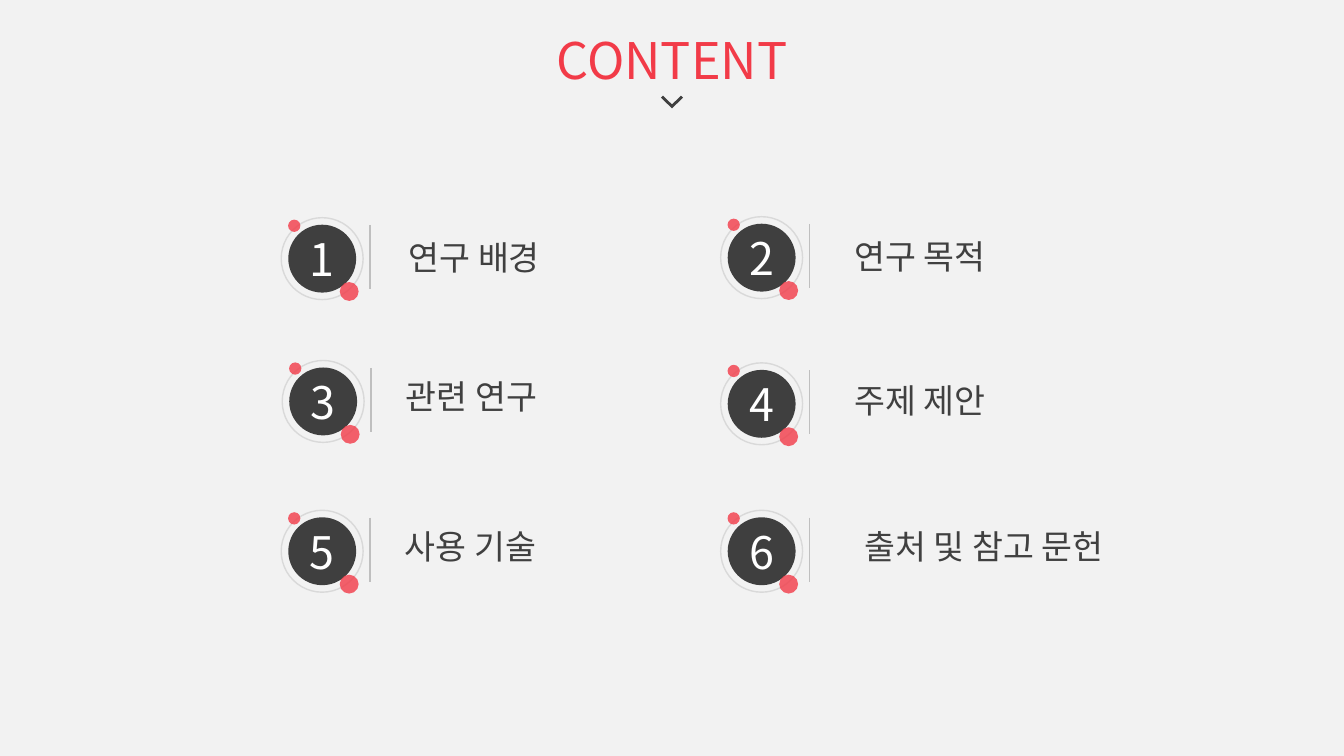
from lxml import etree
from pptx import Presentation
from pptx.dml.color import RGBColor
from pptx.enum.shapes import MSO_CONNECTOR as Connector, MSO_SHAPE as Shape
from pptx.enum.text import MSO_ANCHOR as Anchor, MSO_AUTO_SIZE as AutoSize, PP_ALIGN as Align
from pptx.oxml.ns import qn
from pptx.util import Pt

LATIN_FONT = "Noto Sans CJK SC"
KOREAN_FONT = "Noto Sans CJK KR"
RED = "F23B48"
DARK = "3F3F3F"

# Number, badge left and top, label, label left, top and width
ITEMS = [
    ("1", 200.9, 155.5, "연구 배경", 249.8, 165.6, 178),
    ("2", 514.8, 154.8, "연구 목적", 568.1, 164.9, 178),
    ("3", 201.6, 257.5, "관련 연구", 247.7, 265, 178),
    ("4", 514.8, 259.2, "주제 제안", 568.1, 267.8, 178),
    ("5", 200.9, 364.5, "사용 기술", 247, 372.2, 178),
    ("6", 514.8, 364.5, "출처 및 참고 문헌", 593.3, 372.2, 219),
]


def color(value):
    return RGBColor.from_string(value)


def paint(shape, fill=None, line=None, alpha=None):
    shape.shadow.inherit = False
    if fill:
        shape.fill.solid()
        shape.fill.fore_color.rgb = color(fill)
    else:
        shape.fill.background()
    if line:
        shape.line.color.rgb = color(line)
        shape.line.width = Pt(1)
    else:
        shape.line.fill.background()
    if alpha:
        tone = shape.fill._xPr.find(".//" + qn("a:srgbClr"))
        etree.SubElement(tone, qn("a:alpha")).set("val", str(alpha * 1000))


def write(shape, text, size, font, value, margin=7.2):
    frame = shape.text_frame
    frame.auto_size = AutoSize.NONE
    frame.word_wrap = True
    frame.vertical_anchor = Anchor.MIDDLE
    frame.margin_left = frame.margin_right = Pt(margin)
    frame.margin_top = frame.margin_bottom = Pt(0)
    para = frame.paragraphs[0]
    para.alignment = Align.CENTER
    span = para.add_run()
    span.text = text
    span.font.size = Pt(size)
    span.font.color.rgb = color(value)
    span.font.name = font
    # East Asian typeface for the Korean letters
    etree.SubElement(span.font._element, qn("a:ea")).set("typeface", font)


def add_circle(shapes, left, top, size, **style):
    circle = shapes.add_shape(Shape.OVAL, Pt(left), Pt(top), Pt(size), Pt(size))
    paint(circle, **style)
    return circle


def add_divider(shapes, x, top, bottom):
    line = shapes.add_connector(Connector.STRAIGHT, Pt(x), Pt(top), Pt(x), Pt(bottom))
    line.line.color.rgb = color("BFBFBF")
    line.line.width = Pt(1)
    etree.SubElement(line._element.spPr, qn("a:effectLst"))


def add_badge(page, number, left, top):
    shapes = page.shapes.add_group_shape().shapes
    disc = add_circle(shapes, left + 5, top + 5, 48.5, fill=DARK)
    write(disc, number, 32, LATIN_FONT, "FFFFFF", margin=0)
    add_circle(shapes, left, top, 58.5, line="D9D9D9")
    add_circle(shapes, left + 41.8, top + 46, 13.5, fill=RED, alpha=80)
    add_circle(shapes, left + 4.9, top + 1.4, 8.8, fill=RED, alpha=80)
    add_divider(shapes, left + 63.3, top + 5.2, top + 50.9)


def add_label(page, text, left, top, width):
    box = page.shapes.add_textbox(Pt(left), Pt(top), Pt(width), Pt(36))
    write(box, text, 24, KOREAN_FONT, "404040")


def add_title(page, text):
    title = page.shapes.title
    title.left, title.top, title.width, title.height = Pt(377), Pt(16.6), Pt(206), Pt(51)
    write(title, text, 36, LATIN_FONT, RED)


def add_chevron(page, x, top):
    outline = [(6.4, 0), (7.9, 1.4), (0, 9), (-7.9, 1.4), (-6.4, 0), (0, 6.2)]
    points = [(Pt(x + dx), Pt(top + dy)) for dx, dy in outline]
    builder = page.shapes.build_freeform(*points[0])
    builder.add_line_segments(points[1:], close=True)
    paint(builder.convert_to_shape(), fill=DARK)


def main():
    deck = Presentation()
    deck.slide_width, deck.slide_height = Pt(960), Pt(540)
    page = deck.slides.add_slide(deck.slide_layouts[5])
    page.background.fill.solid()
    page.background.fill.fore_color.rgb = color("F2F2F2")

    # Heading
    add_title(page, "CONTENT")
    add_chevron(page, 480, 68.4)

    # Numbered contents
    for number, left, top, text, label_left, label_top, label_width in ITEMS:
        add_badge(page, number, left, top)
        add_label(page, text, label_left, label_top, label_width)

    deck.save("out.pptx")


if __name__ == "__main__":
    main()
